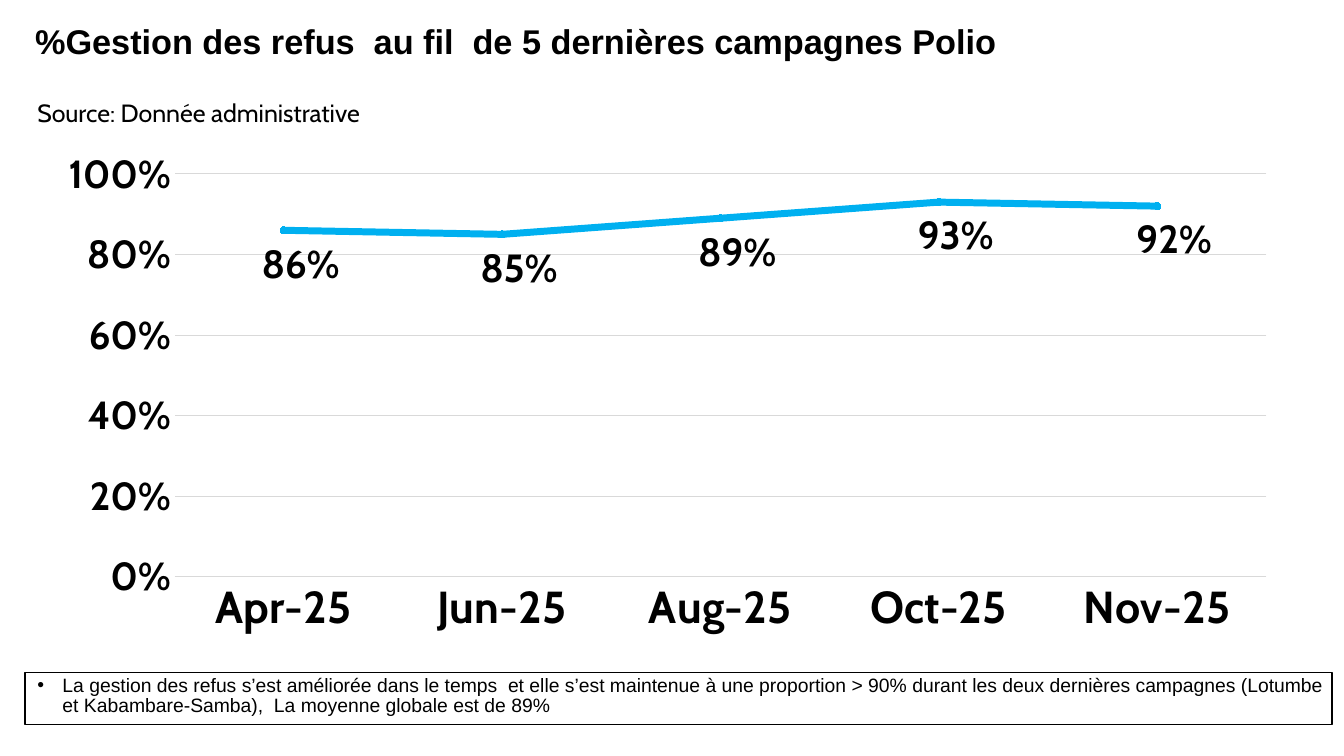
"""Build the slide on refusals managed over the last five polio campaigns."""
from dataclasses import dataclass
from typing import Any

from lxml import etree
from pptx import Presentation
from pptx import util as u
from pptx.chart import data as cd
from pptx.dml import color
from pptx.enum import chart as ch, shapes, text
from pptx.oxml import ns

BLACK = color.RGBColor(0x00, 0x00, 0x00)
GREY = color.RGBColor(0xD9, 0xD9, 0xD9)
BLUE = color.RGBColor(0x00, 0xB0, 0xF0)

RATES = {"Apr-25": 0.86, "Jun-25": 0.85, "Aug-25": 0.89, "Oct-25": 0.93, "Nov-25": 0.92}
PLOT = {"layoutTarget": "inner", "xMode": "edge", "yMode": "edge",
        "x": 0.105, "y": 0.067, "w": 0.874, "h": 0.796}
SHIFT = {"x": 0.0135, "y": 0.005}


@dataclass
class Block:
    """One block of text with its place and look."""
    words: str
    box: tuple[float, float, float, float]
    size: float
    face: str = "Arial"
    bold: bool = False
    inset: float = 0.05
    anchor: Any = text.MSO_ANCHOR.TOP
    framed: bool = False


BLOCKS = [
    Block("%Gestion des refus  au fil  de 5 dernières campagnes Polio",
          (0.25, 0.18, 10.66, 0.51), 24.5, bold=True, inset=0.1,
          anchor=text.MSO_ANCHOR.MIDDLE),
    Block("La gestion des refus s’est améliorée dans le temps  et elle s’est maintenue "
          "à une proportion > 90% durant les deux dernières campagnes "
          "(Lotumbe et Kabambare-Samba),  La moyenne globale est de 89%",
          (0.25, 6.67, 12.96, 0.52), 13.8, inset=0.03, framed=True),
    Block("Source: Donnée administrative", (0.32, 0.95, 4.15, 0.51), 17.8, "Cabin"),
]


def apply(item: Any, looks: dict[str, Any]) -> None:
    """Set each named attribute on an object."""
    for name, value in looks.items():
        setattr(item, name, value)


def style(font: Any, size: float, face: str, bold: bool) -> None:
    """Give a font its black text look."""
    apply(font, {"size": u.Pt(size), "name": face, "bold": bold})
    font.color.rgb = BLACK


def rule(line: Any, tint: color.RGBColor, width: float) -> None:
    """Give a line its colour and width."""
    line.color.rgb = tint
    line.width = u.Pt(width)


def bullet(para: Any) -> None:
    """Hang a paragraph behind a round bullet."""
    props = para._p.get_or_add_pPr()
    props.set("marL", str(u.Inches(0.34)))
    props.set("indent", str(u.Inches(-0.25)))
    etree.SubElement(props, ns.qn("a:buFont")).set("typeface", "Arial")
    etree.SubElement(props, ns.qn("a:buChar")).set("char", "•")


def write(slide: Any, block: Block) -> None:
    """Draw one block of text."""
    place = [u.Inches(v) for v in block.box]
    if block.framed:
        shape = slide.shapes.add_shape(shapes.MSO_SHAPE.RECTANGLE, *place)
        shape.shadow.inherit = False
        shape.fill.background()
        rule(shape.line, BLACK, 1)
    else:
        shape = slide.shapes.add_textbox(*place)
    frame = shape.text_frame
    apply(frame, {"word_wrap": True, "vertical_anchor": block.anchor})
    for side in ("left", "top", "right", "bottom"):
        setattr(frame, f"margin_{side}", u.Inches(block.inset))
    para = frame.paragraphs[0]
    apply(para, {"alignment": text.PP_ALIGN.LEFT, "line_spacing": 0.9})
    if block.framed:
        bullet(para)
    run = para.add_run()
    run.text = block.words
    style(run.font, block.size, block.face, block.bold)


def layout(owner: Any, index: int, values: dict[str, Any]) -> None:
    """Give a chart part a manual layout."""
    for old in owner.findall(ns.qn("c:layout")):
        owner.remove(old)
    outer = etree.Element(ns.qn("c:layout"))
    owner.insert(index, outer)
    inner = etree.SubElement(outer, ns.qn("c:manualLayout"))
    for name, value in values.items():
        etree.SubElement(inner, ns.qn(f"c:{name}")).set("val", str(value))


def plot(slide: Any) -> None:
    """Draw the line chart of rates."""
    data = cd.CategoryChartData(number_format="0%")
    data.categories = list(RATES)
    data.add_series("Series 1", list(RATES.values()))
    place = [u.Inches(v) for v in (0.43, 1.39, 12.39, 5.02)]
    chart = slide.shapes.add_chart(ch.XL_CHART_TYPE.LINE_MARKERS, *place, data).chart
    apply(chart, {"has_legend": False, "has_title": False})
    style(chart.font, 10, "Cabin", False)
    layout(chart._chartSpace.chart.plotArea, 0, PLOT)

    months, rates = chart.category_axis, chart.value_axis
    for axis, size in ((months, 32), (rates, 28)):
        apply(axis, {"major_tick_mark": ch.XL_TICK_MARK.NONE,
                     "minor_tick_mark": ch.XL_TICK_MARK.NONE})
        style(axis.tick_labels.font, size, "Cabin", True)
    rule(months.format.line, GREY, 0.75)
    apply(rates, {"minimum_scale": 0, "maximum_scale": 1, "major_unit": 0.2,
                  "has_major_gridlines": True})
    rates.format.line.fill.background()
    rule(rates.major_gridlines.format.line, GREY, 0.75)
    apply(rates.tick_labels, {"number_format": "0%", "number_format_is_linked": False})

    series = chart.plots[0].series[0]
    series.smooth = False
    rule(series.format.line, BLUE, 5)
    apply(series.marker, {"style": ch.XL_MARKER_STYLE.CIRCLE, "size": 5})
    series.marker.format.fill.solid()
    series.marker.format.fill.fore_color.rgb = BLUE
    rule(series.marker.format.line, BLUE, 0.75)
    for spot in range(len(RATES)):
        label = series.points[spot].data_label
        style(label.font, 28, "Cabin", True)
        label.position = ch.XL_LABEL_POSITION.BELOW
    for item in series._element.iter(ns.qn("c:dLbl")):
        layout(item, 1, SHIFT)


def main() -> None:
    """Build and save the deck."""
    deck = Presentation()
    apply(deck, {"slide_width": u.Inches(13.33), "slide_height": u.Inches(7.5)})
    slide = deck.slides.add_slide(deck.slide_layouts[6])
    for block in BLOCKS:
        write(slide, block)
    plot(slide)
    deck.save("out.pptx")


if __name__ == "__main__":
    main()
